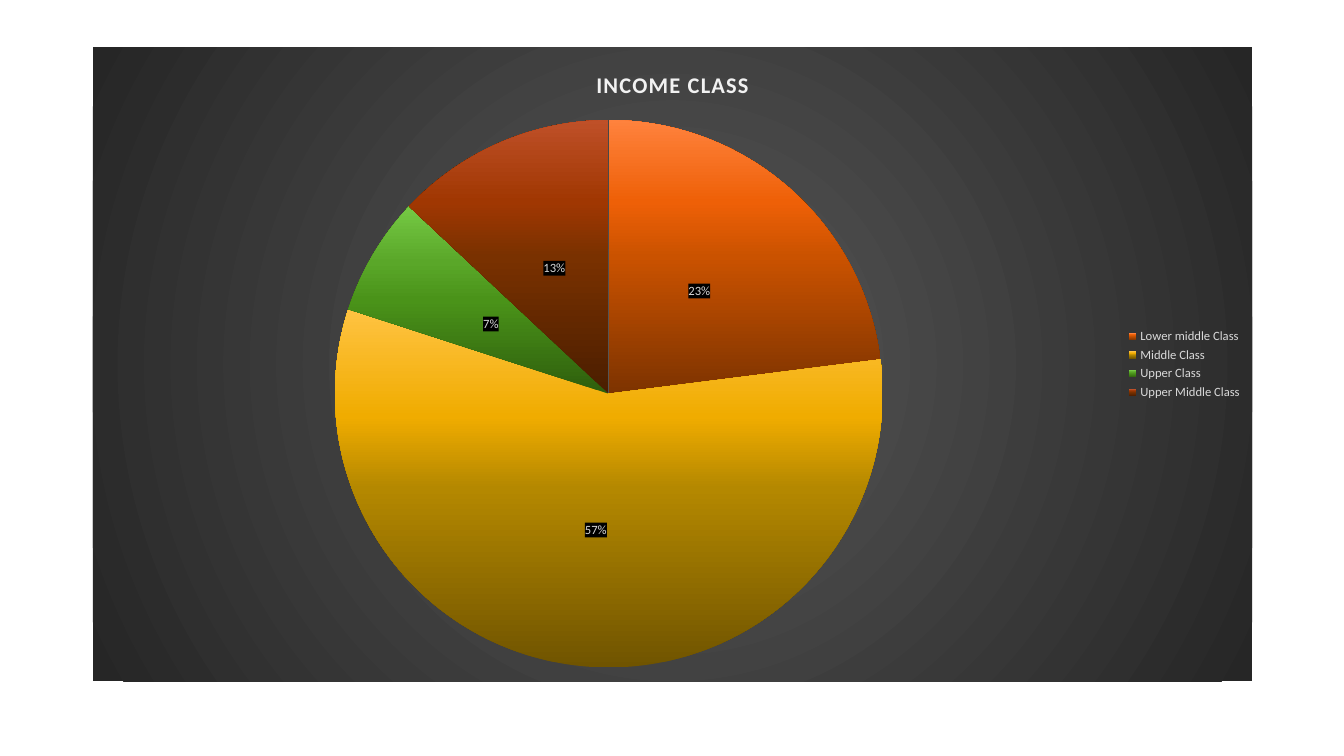
from dataclasses import dataclass

from pptx import Presentation
from pptx.chart.data import CategoryChartData
from pptx.dml.color import RGBColor
from pptx.enum.chart import XL_CHART_TYPE, XL_LABEL_POSITION, XL_LEGEND_POSITION
from pptx.oxml import parse_xml
from pptx.oxml.ns import nsdecls
from pptx.util import Inches, Pt

PIE = XL_CHART_TYPE.PIE
CENTER = XL_LABEL_POSITION.CENTER
RIGHT = XL_LEGEND_POSITION.RIGHT
BOTTOM_TO_TOP = '<a:lin ang="16200000" scaled="0"/>'
FROM_CENTER = ('<a:path path="circle">'
               '<a:fillToRect l="50000" t="50000" r="50000" b="50000"/></a:path>')
SLICE_STOPS = (0, 50, 70, 100)


@dataclass(frozen=True)
class Theme:
    font: str = "Calibri"
    title_size: int = 16
    base_size: int = 10
    small_size: int = 9
    title_color: str = "F2F2F2"
    text_color: str = "D9D9D9"
    base_color: str = "000000"
    label_fill: str = "000000"
    backdrop: tuple = ("595959", "262626")


THEME = Theme()

INCOME_CLASSES = [
    ("Lower middle Class", 23, ("7D3300", "CA5200", "EE6007", "FF823D")),
    ("Middle Class", 57, ("705400", "B48800", "F0AC00", "FFC342")),
    ("Upper Class", 7, ("2E5E0D", "4A9319", "5AA729", "75C944")),
    ("Upper Middle Class", 13, ("4B1E00", "793100", "A03702", "BF5028")),
]


def set_font(font, size, color, bold=False):
    font.name = THEME.font
    font.size = Pt(size)
    font.bold = bold
    font.color.rgb = RGBColor.from_string(color)


def solid_fill(color):
    return f'<a:solidFill><a:srgbClr val="{color}"/></a:solidFill>'


def gradient_fill(positions, colors, direction):
    stops = "".join(
        f'<a:gs pos="{pos * 1000}"><a:srgbClr val="{color}"/></a:gs>'
        for pos, color in zip(positions, colors))
    return (f'<a:gradFill rotWithShape="1"><a:gsLst>{stops}</a:gsLst>'
            f'{direction}</a:gradFill>')


def shape_properties(fill):
    return parse_xml(f'<c:spPr {nsdecls("c", "a")}>{fill}'
                     '<a:ln><a:noFill/></a:ln></c:spPr>')


def add_title(chart, text):
    chart.has_title = True
    title = chart.chart_title
    title.include_in_layout = False
    p = title.text_frame.paragraphs[0]
    r = p.add_run()
    r.text = text
    set_font(p.font, THEME.title_size, THEME.title_color, bold=True)
    set_font(r.font, THEME.title_size, THEME.title_color, bold=True)
    r.font._element.set("spc", "100")


def add_legend(chart):
    chart.has_legend = True
    legend = chart.legend
    legend.position = RIGHT
    legend.include_in_layout = False
    set_font(legend.font, THEME.small_size, THEME.text_color)


def add_percent_labels(chart, series):
    labels = series.data_labels
    labels.show_value = False
    labels.show_percentage = True
    labels.number_format = "0%"
    labels.number_format_is_linked = False
    labels.position = CENTER
    set_font(labels.font, THEME.small_size, THEME.text_color)
    number_format = chart.element.xpath(".//c:ser/c:dLbls/c:numFmt")[0]
    number_format.addnext(shape_properties(solid_fill(THEME.label_fill)))


def color_slices(chart, series):
    for i in range(len(INCOME_CLASSES)):
        series.points[i].format.fill.solid()
    slices = chart.element.xpath(".//c:dPt/c:spPr")
    for old, (_, _, colors) in zip(slices, INCOME_CLASSES):
        fill = gradient_fill(SLICE_STOPS, colors, BOTTOM_TO_TOP)
        old.getparent().replace(old, shape_properties(fill))


def add_backdrop(chart):
    fill = gradient_fill((0, 100), THEME.backdrop, FROM_CENTER)
    chart.element.xpath("./c:chart")[0].addnext(shape_properties(fill))


def add_income_chart(s):
    data = CategoryChartData()
    data.categories = [name for name, _, _ in INCOME_CLASSES]
    data.add_series("Series 1", [value for _, value, _ in INCOME_CLASSES])
    chart = s.shapes.add_chart(PIE, Inches(0.92), Inches(0.47),
                               Inches(11.5), Inches(6.29), data).chart
    set_font(chart.font, THEME.base_size, THEME.base_color)
    plot = chart.plots[0]
    plot.vary_by_categories = True
    series = plot.series[0]
    add_title(chart, "INCOME CLASS")
    add_legend(chart)
    color_slices(chart, series)
    add_percent_labels(chart, series)
    add_backdrop(chart)


def main():
    prs = Presentation()
    prs.slide_width = Inches(13.33)
    prs.slide_height = Inches(7.5)
    s = prs.slides.add_slide(prs.slide_layouts[6])
    add_income_chart(s)
    prs.save("out.pptx")


if __name__ == "__main__":
    main()
